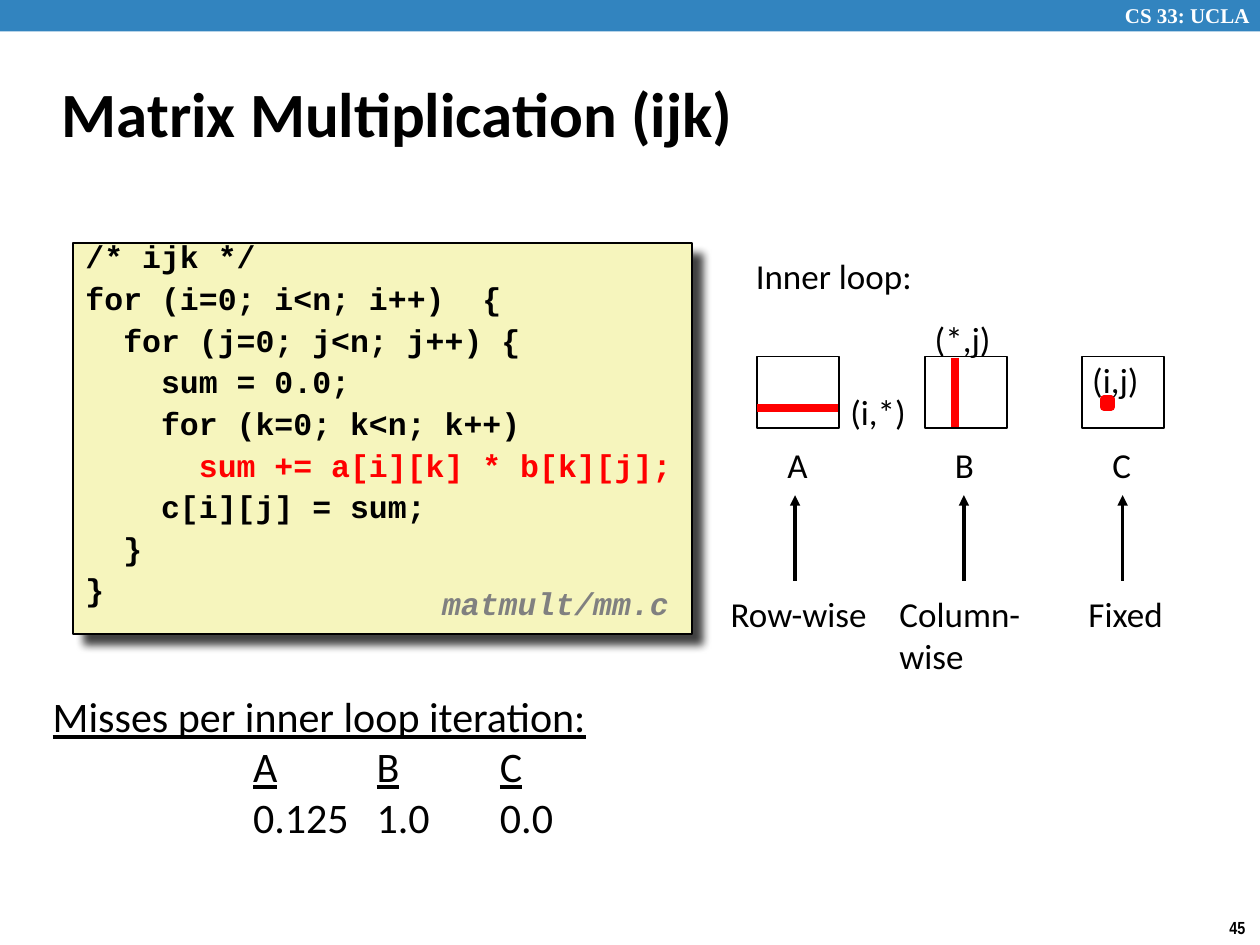
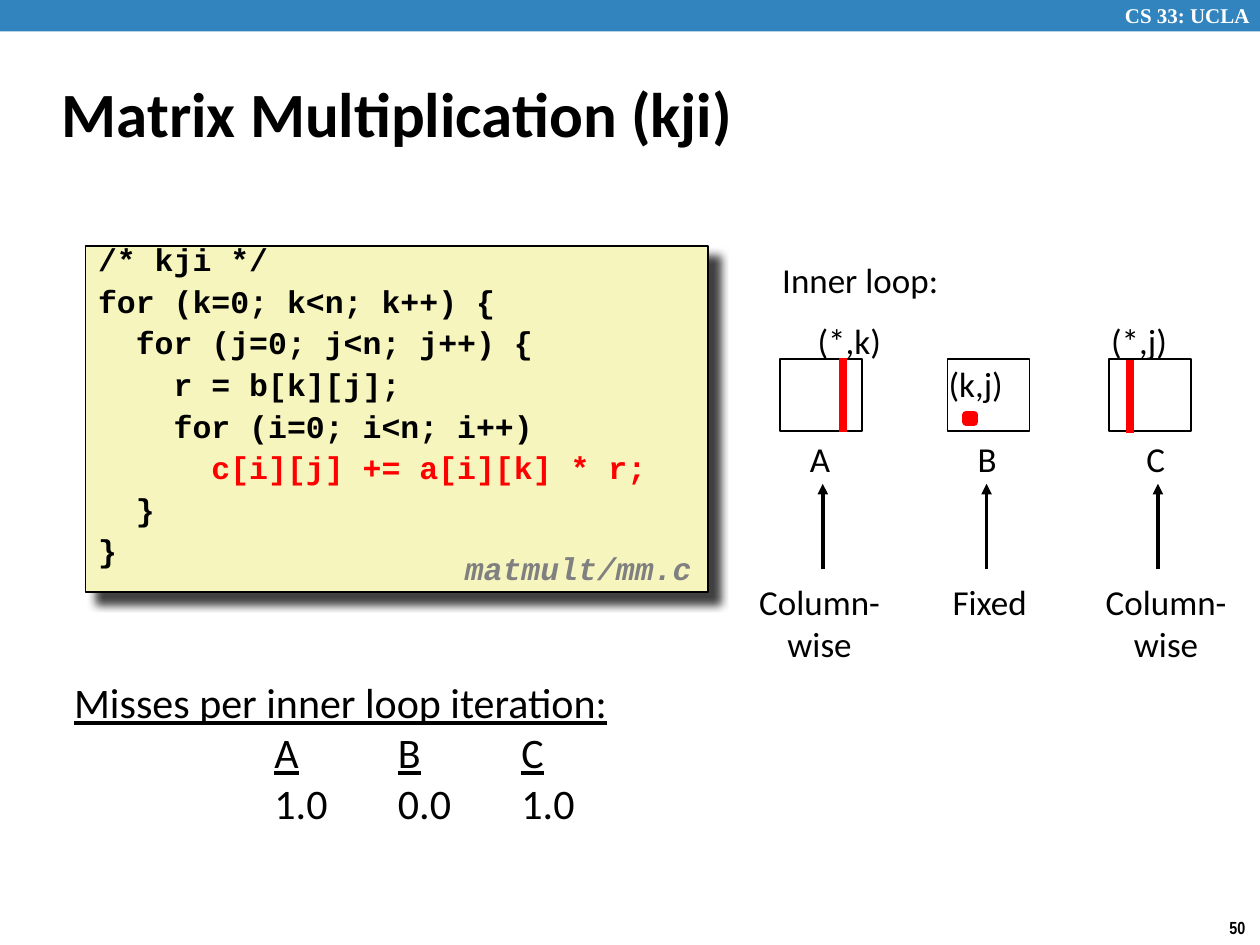
from collections import namedtuple

import pptx
import pptx.dml.color
import pptx.enum.shapes
import pptx.enum.text
import pptx.oxml
import pptx.oxml.ns
import pptx.util
from lxml import etree
from pptx.util import Inches

BLUE, CREAM, RED = "3284BF", "F6F5BD", "FF0000"
BLACK, WHITE, GRAY = "000000", "FFFFFF", "808080"
BODY, CODE = "Calibri", "Courier New"
CELL_WIDTH, CELL_HEIGHT, DOT = 0.65, 0.57, 0.06
LABEL_WIDTHS = {
    "A": 0.37, "B": 0.35, "C": 0.35, "(i,*)": 0.64, "(*,j)": 0.65, "(i,j)": 0.57,
    "(k,j)": 0.63, "(*,k)": 0.71, "Inner loop:": 1.45, "Row-wise": 1.29,
    "Column-\nwise": 1.17, "Fixed": 0.79,
}
MISS_TABS = [1.59, 2.57, 3.55]

# mark is a stripe (x1, y1, x2, y2) or the corner (x, y) of a dot
Matrix = namedtuple("Matrix", "name left name_left index index_at mark "
                              "access access_left arrow_x misses")
Loop = namedtuple("Loop", "order number code code_at file_at inner_at matrix_top "
                          "name_top access_top centered misses_at matrices")


def color(value):
    return pptx.dml.color.RGBColor.from_string(value)


def child(parent, tag, **attributes):
    return etree.SubElement(parent, pptx.oxml.ns.qn(tag), attributes)


class Deck:
    def __init__(self):
        self.prs = pptx.Presentation()
        self.prs.slide_width, self.prs.slide_height = Inches(10), Inches(7.5)
        self.slide = None

    def new_slide(self, title, number):
        """Add a slide with its band, course name, number and title."""
        self.slide = self.prs.slides.add_slide(self.prs.slide_layouts[5])
        self.box(0, 0, 10, 0.25, BLUE)
        self.text("CS 33: UCLA", 8.83, -0.03, 1.24, 0.3, 12, "Times New Roman",
                  WHITE, bold=True)
        self.text(number, 9.66, 7.23, 0.34, 0.27, 10, "Arial Narrow", bold=True)
        heading = self.slide.shapes.title
        heading.left, heading.top = Inches(0.39), Inches(0.48)
        heading.width, heading.height = Inches(8.3), Inches(0.83)
        heading.text_frame.text = title
        heading.text_frame.vertical_anchor = pptx.enum.text.MSO_ANCHOR.MIDDLE
        paragraph = heading.text_frame.paragraphs[0]
        paragraph.alignment = pptx.enum.text.PP_ALIGN.LEFT
        self.style(paragraph.font, 36, BODY, bold=True)

    def style(self, font, size, name, ink=BLACK, bold=False, italic=False):
        font.size, font.name = pptx.util.Pt(size), name
        font.bold, font.italic = bold, italic
        font.color.rgb = color(ink)

    def box(self, left, top, width, height, fill, line=None, weight=1):
        shape = self.slide.shapes.add_shape(
            pptx.enum.shapes.MSO_SHAPE.RECTANGLE,
            Inches(left), Inches(top), Inches(width), Inches(height))
        shape.shadow.inherit = False
        shape.fill.solid()
        shape.fill.fore_color.rgb = color(fill)
        if line:
            shape.line.color.rgb = color(line)
            shape.line.width = pptx.util.Pt(weight)
        else:
            shape.line.fill.background()
        return shape

    def text(self, words, left, top, width, height, size=20, name=BODY, ink=BLACK,
             bold=False, italic=False, centered=False):
        frame = self.slide.shapes.add_textbox(
            Inches(left), Inches(top), Inches(width), Inches(height)).text_frame
        frame.text = words
        frame.word_wrap = False
        frame.auto_size = pptx.enum.text.MSO_AUTO_SIZE.SHAPE_TO_FIT_TEXT
        for paragraph in frame.paragraphs:
            if centered:
                paragraph.alignment = pptx.enum.text.PP_ALIGN.CENTER
            self.style(paragraph.font, size, name, ink, bold, italic)
        return frame

    def label(self, words, left, top, centered=False):
        height = 0.77 if "\n" in words else 0.43
        self.text(words, left, top, LABEL_WIDTHS[words], height, centered=centered)

    def line(self, x1, y1, x2, y2, ink, weight, arrow=False):
        connector = self.slide.shapes.add_connector(
            pptx.enum.shapes.MSO_CONNECTOR.STRAIGHT,
            Inches(x1), Inches(y1), Inches(x2), Inches(y2))
        connector.line.color.rgb = color(ink)
        connector.line.width = pptx.util.Pt(weight)
        if arrow:
            child(connector.line._get_or_add_ln(), "a:tailEnd", type="triangle")
        child(connector._element.spPr, "a:effectLst")

    def code(self, source, left, top, width, height):
        """Show code in a shadowed panel, with its update statement in red."""
        panel = self.box(left, top, width, height, CREAM, BLACK)
        effects = panel._element.spPr.find(pptx.oxml.ns.qn("a:effectLst"))
        shadow = child(effects, "a:outerShdw", blurRad=str(pptx.util.Pt(5)),
                       dist=str(pptx.util.Pt(8.5)), dir="2700000", algn="tl",
                       rotWithShape="0")
        child(child(shadow, "a:srgbClr", val=BLACK), "a:alpha", val="75000")
        frame = panel.text_frame
        frame.vertical_anchor = pptx.enum.text.MSO_ANCHOR.TOP
        frame.text = source
        for row, paragraph in enumerate(frame.paragraphs):
            paragraph.alignment = pptx.enum.text.PP_ALIGN.LEFT
            paragraph.line_spacing = 0.65
            if row:
                paragraph.space_before = pptx.util.Pt(9.75)
            ink = RED if "+=" in paragraph.text else BLACK
            self.style(paragraph.font, 18, CODE, ink, bold=True)

    def misses(self, matrices, left, top):
        """List the misses of each matrix in tabbed columns."""
        frame = self.slide.shapes.add_textbox(
            Inches(left), Inches(top), Inches(5.5), Inches(1.33)).text_frame
        frame.word_wrap = True
        frame.text = "Misses per inner loop iteration:"
        heading = frame.paragraphs[0]
        names, values = frame.add_paragraph(), frame.add_paragraph()
        for paragraph in (names, values):
            tabs = child(paragraph._p.get_or_add_pPr(), "a:tabLst")
            for position in MISS_TABS:
                child(tabs, "a:tab", pos=str(Inches(position)), algn="l")
        for matrix in matrices:
            names.add_run().text = "\t"
            name = names.add_run()
            name.text = matrix.name
            name.font.underline = True
        values.add_run().text = "".join("\t" + matrix.misses for matrix in matrices)
        for paragraph in frame.paragraphs:
            self.style(paragraph.font, 24, BODY)
        heading.font.underline = True

    def matrix(self, matrix, loop):
        """Draw one matrix with its accessed part and access pattern."""
        self.box(matrix.left, loop.matrix_top, CELL_WIDTH, CELL_HEIGHT, WHITE, BLACK)
        if len(matrix.mark) == 4:
            self.line(*matrix.mark, RED, 4.5)
        else:
            self.box(*matrix.mark, DOT, DOT, RED, RED, 4.5)
        self.label(matrix.index, *matrix.index_at)
        self.label(matrix.name, matrix.name_left, loop.name_top)
        self.line(matrix.arrow_x, loop.access_top - 0.04,
                  matrix.arrow_x, loop.access_top - 0.72, BLACK, 2, arrow=True)
        self.label(matrix.access, matrix.access_left, loop.access_top, loop.centered)

    def loop(self, loop):
        self.new_slide(f"Matrix Multiplication ({loop.order})", loop.number)
        self.code(loop.code, *loop.code_at)
        file_name = self.text("matmult/mm.c", *loop.file_at, 2.08, 0.39, 18, CODE,
                              GRAY, bold=True, italic=True)
        file_name.paragraphs[0].line_spacing = 0.94
        self.label("Inner loop:", *loop.inner_at)
        for matrix in loop.matrices:
            self.matrix(matrix, loop)
        self.misses(loop.matrices, *loop.misses_at)


IJK_CODE = """/* ijk */
for (i=0; i<n; i++)  {
  for (j=0; j<n; j++) {
    sum = 0.0;
    for (k=0; k<n; k++)
      sum += a[i][k] * b[k][j];
    c[i][j] = sum;
  }
}"""

KJI_CODE = """/* kji */
for (k=0; k<n; k++) {
  for (j=0; j<n; j++) {
    r = b[k][j];
    for (i=0; i<n; i++)
      c[i][j] += a[i][k] * r;
  }
}"""

LOOPS = [
    Loop("ijk", "45", IJK_CODE, (0.58, 1.93, 4.91, 3.1), (3.41, 4.61), (5.9, 1.97),
         2.83, 3.47, 4.65, False, (0.32, 5.43), [
             Matrix("A", 6.01, 6.15, "(i,*)", (6.65, 3.05), (6.01, 3.24, 6.65, 3.24),
                    "Row-wise", 5.7, 6.31, "0.125"),
             Matrix("B", 7.34, 7.48, "(*,j)", (7.32, 2.47), (7.58, 2.84, 7.58, 3.39),
                    "Column-\nwise", 7.04, 7.65, "1.0"),
             Matrix("C", 8.59, 8.73, "(i,j)", (8.57, 2.8), (8.76, 3.17),
                    "Fixed", 8.54, 8.91, "0.0"),
         ]),
    Loop("kji", "50", KJI_CODE, (0.68, 1.95, 4.94, 2.75), (3.59, 4.33), (6.11, 2),
         2.85, 3.42, 4.56, True, (0.49, 5.32), [
             Matrix("A", 6.19, 6.33, "(*,k)", (6.39, 2.49), (6.69, 3.43, 6.69, 2.84),
                    "Column-\nwise", 5.92, 6.53, "1.0"),
             Matrix("B", 7.52, 7.66, "(k,j)", (7.43, 2.83), (7.67, 3.29),
                    "Fixed", 7.46, 7.83, "0.0"),
             Matrix("C", 8.8, 9, "(*,j)", (8.72, 2.49), (8.97, 3.44, 8.97, 2.86),
                    "Column-\nwise", 8.67, 9.19, "1.0"),
         ]),
]


def main():
    deck = Deck()
    for loop in LOOPS:
        deck.loop(loop)
    deck.prs.save("out.pptx")


if __name__ == "__main__":
    main()
